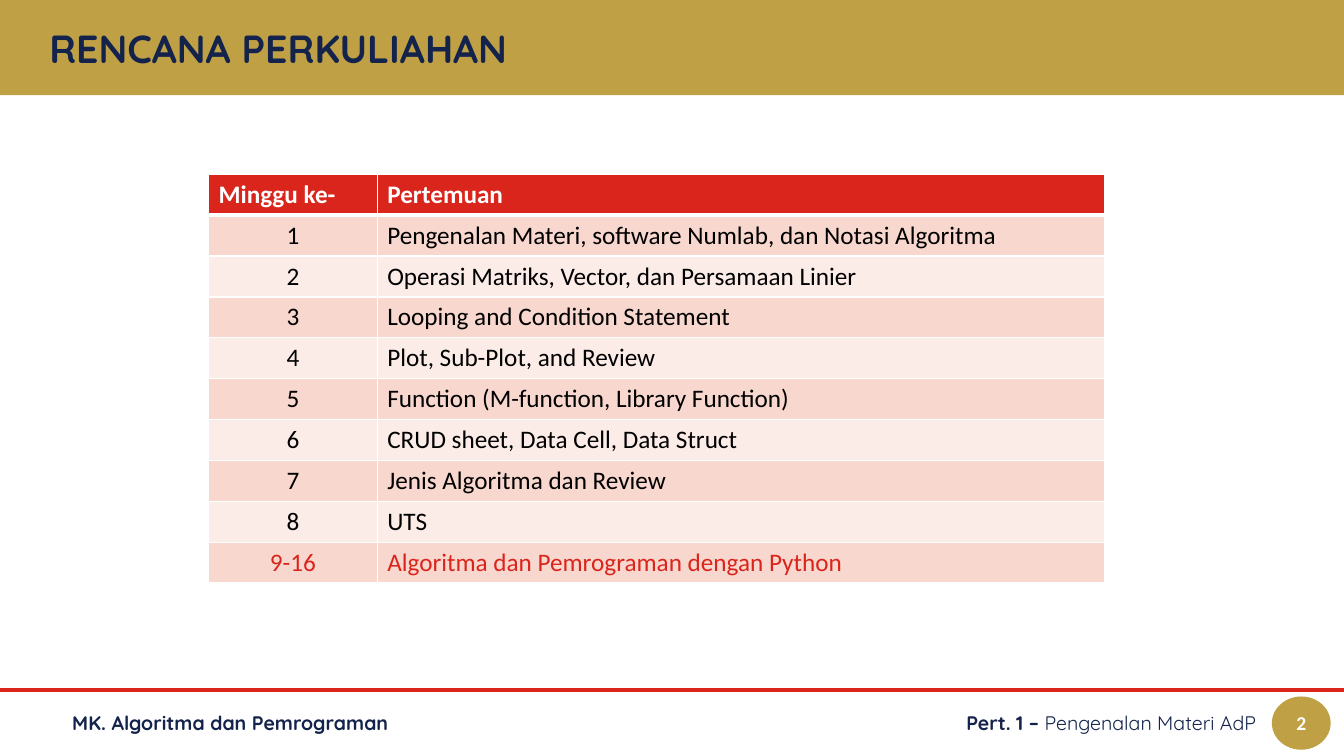
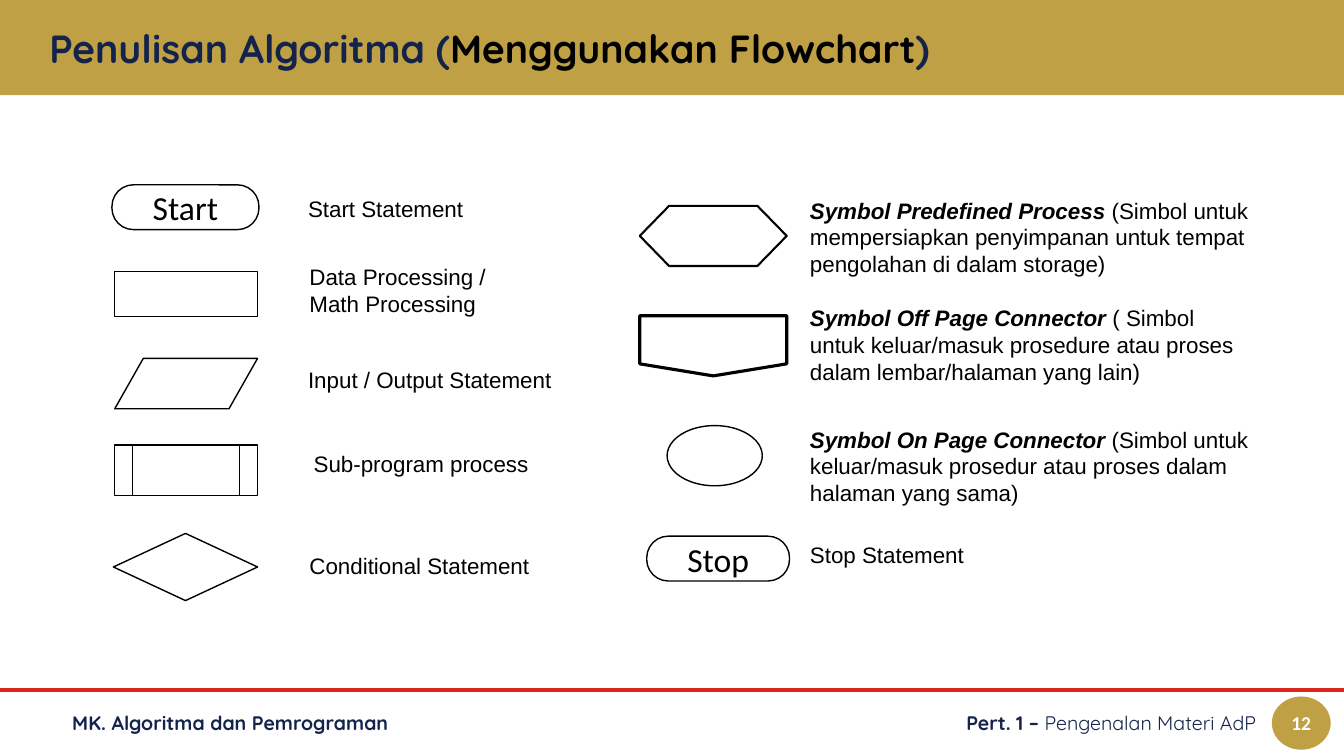
from lxml import etree
from pptx import Presentation
from pptx.dml.color import RGBColor
from pptx.enum.shapes import MSO_CONNECTOR, MSO_SHAPE
from pptx.enum.text import MSO_ANCHOR, PP_ALIGN
from pptx.oxml.ns import qn
from pptx.util import Pt

GOLD = RGBColor(0xBF, 0xA0, 0x45)
RED = RGBColor(0xDA, 0x25, 0x1C)
NAVY = RGBColor(0x13, 0x23, 0x4B)
BLACK = RGBColor(0, 0, 0)
WHITE = RGBColor(0xFF, 0xFF, 0xFF)
ROSE = RGBColor(0xF8, 0xD7, 0xCE)
BLUSH = RGBColor(0xFC, 0xEC, 0xE8)

HEAD_FONT, BODY_FONT, LABEL_FONT = "Quicksand", "Calibri", "Arial"
LEFT, CENTER, RIGHT = PP_ALIGN.LEFT, PP_ALIGN.CENTER, PP_ALIGN.RIGHT
TOP, MIDDLE = MSO_ANCHOR.TOP, MSO_ANCHOR.MIDDLE
RECT, OVAL, PILL = MSO_SHAPE.RECTANGLE, MSO_SHAPE.OVAL, MSO_SHAPE.ROUNDED_RECTANGLE
DATA = MSO_SHAPE.FLOWCHART_DATA
SUBPROGRAM = MSO_SHAPE.FLOWCHART_PREDEFINED_PROCESS
DECISION = MSO_SHAPE.FLOWCHART_DECISION
PREPARATION = MSO_SHAPE.FLOWCHART_PREPARATION
OFFPAGE = MSO_SHAPE.FLOWCHART_OFFPAGE_CONNECTOR
STRAIGHT = MSO_CONNECTOR.STRAIGHT

SLIDE_W, SLIDE_H = 960, 540
FOOT_TOP, FOOT_H = 497.5, 38

MEETINGS = [
    ("Minggu ke-", "Pertemuan"),
    ("1", "Pengenalan Materi, software Numlab, dan Notasi Algoritma"),
    ("2", "Operasi Matriks, Vector, dan Persamaan Linier"),
    ("3", "Looping and Condition Statement"),
    ("4", "Plot, Sub-Plot, and Review"),
    ("5", "Function (M-function, Library Function)"),
    ("6", "CRUD sheet, Data Cell, Data Struct"),
    ("7", "Jenis Algoritma dan Review"),
    ("8", "UTS"),
    ("9-16", "Algoritma dan Pemrograman dengan Python"),
]

# Each row: shape, symbol box, line width, symbol text, label box, term, label
BASIC_SYMBOLS = [
    (PILL, (0, 0, 105, 32), 1, "Start", (133, 4, 177, 27), "", "Start Statement"),
    (RECT, (2, 62, 102, 32), 1, "", (134, 52.5, 177, 46), "",
     "Data Processing / Math Processing"),
    (DATA, (2, 124, 102, 36), 1, "", (133, 126, 191, 27), "",
     "Input / Output Statement"),
    (SUBPROGRAM, (2, 186, 102, 36), 1, "", (137, 186, 177, 27), "",
     "Sub-program process"),
    (DECISION, (1, 249, 103, 48), 1, "", (134, 259, 177, 27), "",
     "Conditional Statement"),
]
CONNECTOR_SYMBOLS = [
    (PREPARATION, (0, 15, 105, 43), 1.5, "", (114.5, 5, 330, 66),
     "Symbol Predefined Process",
     " (Simbol untuk mempersiapkan penyimpanan untuk tempat pengolahan di dalam storage)"),
    (OFFPAGE, (0, 93.5, 105, 43), 2.25, "", (114.5, 82, 330, 66),
     "Symbol Off Page Connector",
     " ( Simbol untuk keluar/masuk prosedure atau proses dalam lembar/halaman yang lain)"),
    (OVAL, (19.5, 172, 68, 43), 1, "", (114.5, 168.5, 330, 66),
     "Symbol On Page Connector",
     " (Simbol untuk keluar/masuk prosedur atau proses dalam halaman yang sama)"),
    (PILL, (5, 251, 102, 32), 1, "Stop", (114.5, 251, 330, 27), "", "Stop Statement"),
]


def pts(box):
    """Turn a box of numbers into lengths in points."""
    return [Pt(v) for v in box]


def write(tf, runs, size, font, align=LEFT, anchor=MIDDLE):
    """Fill a frame with one paragraph of (text, colour, bold, italic) runs."""
    tf.word_wrap = True
    tf.vertical_anchor = anchor
    p = tf.paragraphs[0]
    p.alignment = align
    for text, color, bold, italic in runs:
        r = p.add_run()
        r.text = text
        r.font.size, r.font.name = Pt(size), font
        r.font.bold, r.font.italic = bold, italic
        r.font.color.rgb = color


def add_text(slide, box, *args, **kwargs):
    """Add a text box holding one paragraph."""
    tf = slide.shapes.add_textbox(*pts(box)).text_frame
    write(tf, *args, **kwargs)
    return tf


def add_shape(slide, kind, box, fill, line=None, width=1):
    """Add a flat filled shape, outlined if a line colour is given."""
    sp = slide.shapes.add_shape(kind, *pts(box))
    sp.shadow.inherit = False
    sp.fill.solid()
    sp.fill.fore_color.rgb = fill
    if line is None:
        sp.line.fill.background()
    else:
        sp.line.color.rgb = line
        sp.line.width = Pt(width)
    return sp


def add_footer(slide, number):
    """Draw the red rule, the two footer texts and the page badge."""
    rule = slide.shapes.add_connector(STRAIGHT, *pts((0, 493, SLIDE_W, 493)))
    rule.line.color.rgb = RED
    rule.line.width = Pt(3)
    etree.SubElement(rule._element.spPr, qn("a:effectLst"))
    add_text(slide, (44.5, FOOT_TOP, 381, FOOT_H),
             [("MK. Algoritma dan Pemrograman", NAVY, True, False)], 14, HEAD_FONT)
    add_text(slide, (468.5, FOOT_TOP, 436, FOOT_H),
             [("Pert. 1 – ", NAVY, True, False),
              ("Pengenalan Materi AdP", NAVY, False, False)],
             14, HEAD_FONT, RIGHT)
    badge = add_shape(slide, OVAL, (908.5, FOOT_TOP, 42, FOOT_H), GOLD)
    tf = badge.text_frame
    tf.margin_left = tf.margin_right = 0
    write(tf, [(number, WHITE, True, False)], 14, BODY_FONT, CENTER)


def new_slide(prs, title_runs, number):
    """Add a slide with the gold title band and the footer."""
    slide = prs.slides.add_slide(prs.slide_layouts[5])
    band = add_shape(slide, RECT, (0, 0, SLIDE_W, 68), GOLD)
    title = slide.shapes.title
    title._element.addprevious(band._element)
    title.left, title.top, title.width, title.height = pts((28, 15, 904, 38))
    write(title.text_frame, [(t, c, True, False) for t, c in title_runs],
          28, HEAD_FONT)
    add_footer(slide, number)
    return slide


def set_borders(cell, top, bottom):
    """Give a cell white borders with the given top and bottom widths."""
    tc_pr = cell._tc.get_or_add_tcPr()
    sides = (("a:lnL", 1), ("a:lnR", 1), ("a:lnT", top), ("a:lnB", bottom))
    for i, (tag, width) in enumerate(sides):
        ln = etree.Element(qn(tag), w=str(Pt(width)))
        fill = etree.SubElement(ln, qn("a:solidFill"))
        etree.SubElement(fill, qn("a:srgbClr"), val=str(WHITE))
        tc_pr.insert(i, ln)


def add_schedule(slide, box, week_w):
    """Draw the table of weekly meetings in the box."""
    x, y, w, h = box
    last = len(MEETINGS) - 1
    table = slide.shapes.add_table(last + 1, 2, *pts(box)).table
    table.horz_banding = False
    table.columns[0].width, table.columns[1].width = pts((week_w, w - week_w))
    for i, texts in enumerate(MEETINGS):
        table.rows[i].height = Pt(h / len(MEETINGS))
        head = i == 0
        fill = RED if head else (ROSE if i % 2 else BLUSH)
        color = WHITE if head else (RED if i == last else BLACK)
        for j, text in enumerate(texts):
            cell = table.cell(i, j)
            cell.fill.solid()
            cell.fill.fore_color.rgb = fill
            set_borders(cell, 3 if i == 1 else 1, 3 if head else 1)
            align = CENTER if j == 0 and not head else LEFT
            write(cell.text_frame, [(text, color, head, False)], 18, BODY_FONT,
                  align, TOP)


def add_symbols(slide, origin, symbols):
    """Draw a column of flowchart symbols and labels from its origin."""
    x, y = origin
    for kind, (dx, dy, w, h), width, text, label_box, term, label in symbols:
        sp = add_shape(slide, kind, (x + dx, y + dy, w, h), WHITE, BLACK, width)
        if kind == PILL:
            sp.adjustments[0] = 0.48
        if text:
            write(sp.text_frame, [(text, BLACK, False, False)], 24, BODY_FONT, CENTER)
        dx, dy, w, h = label_box
        runs = [(term, BLACK, True, True)] if term else []
        runs.append((label, BLACK, False, False))
        add_text(slide, (x + dx, y + dy, w, h), runs, 16, LABEL_FONT, anchor=TOP)


def plan_slide(prs):
    """Build the course plan slide."""
    slide = new_slide(prs, [("RENCANA PERKULIAHAN", NAVY)], "2")
    add_schedule(slide, (149, 124.5, 640, 292), 120.5)


def flowchart_slide(prs):
    """Build the flowchart symbols slide."""
    title = [("Penulisan Algoritma (", NAVY), ("Menggunakan Flowchart", BLACK),
             (")", NAVY)]
    slide = new_slide(prs, title, "12")
    add_symbols(slide, (80, 132), BASIC_SYMBOLS)
    add_symbols(slide, (457, 132), CONNECTOR_SYMBOLS)


def main():
    """Build and save the presentation."""
    prs = Presentation()
    prs.slide_width, prs.slide_height = pts((SLIDE_W, SLIDE_H))
    plan_slide(prs)
    flowchart_slide(prs)
    prs.save("out.pptx")


if __name__ == "__main__":
    main()
